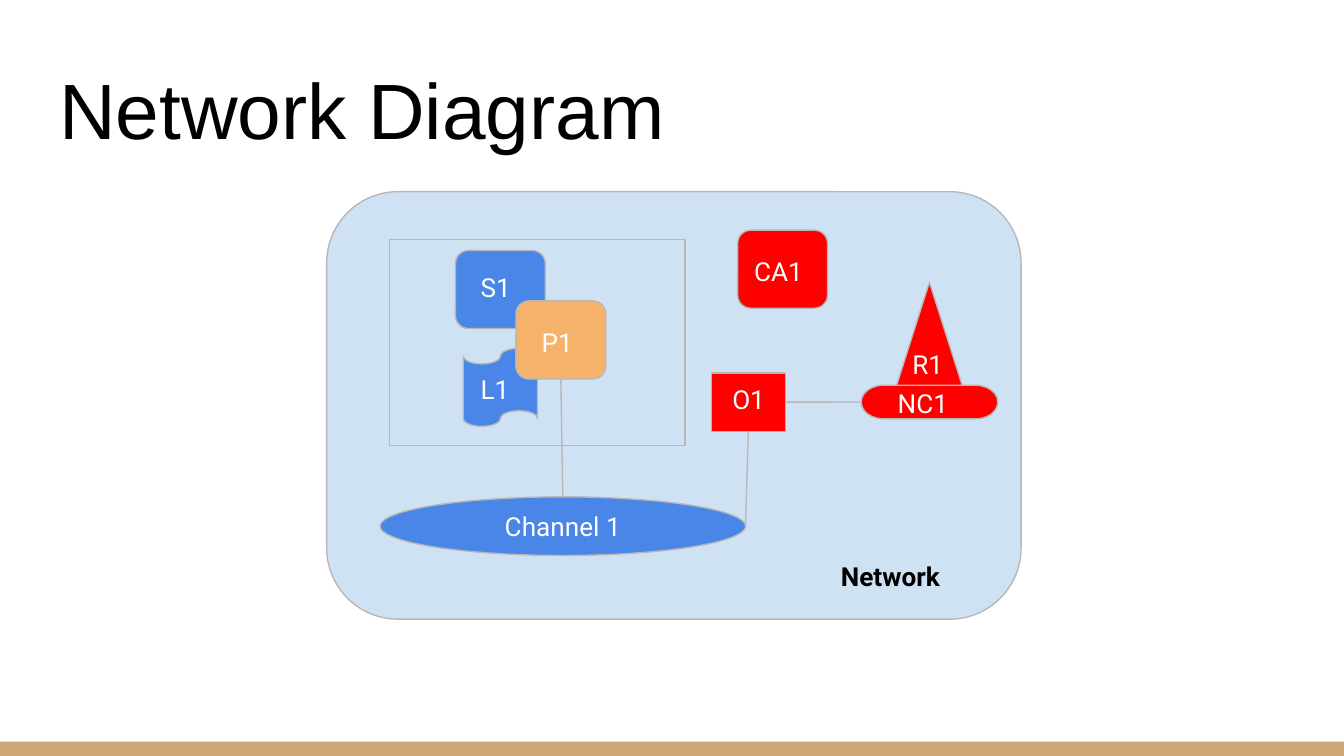
"""Build the network diagram slide."""
from dataclasses import dataclass

from pptx import Presentation
from pptx.dml.color import RGBColor
from pptx.enum.shapes import MSO_CONNECTOR, MSO_SHAPE
from pptx.enum.text import MSO_ANCHOR, MSO_AUTO_SIZE, PP_ALIGN
from pptx.oxml.ns import qn
from pptx.shapes.autoshape import Shape
from pptx.shapes.connector import Connector
from pptx.slide import Slide
from pptx.text.text import TextFrame
from pptx.util import Pt
from lxml.etree import SubElement

HUES = {
    "tan": "CCA677", "pale": "CFE2F3", "blue": "4A86E8", "red": "FF0000",
    "sand": "F6B26B", "gray": "B7B7B7", "white": "FFFFFF", "black": "000000",
}
INSET = 7.2


@dataclass(frozen=True)
class Node:
    key: str
    kind: MSO_SHAPE
    box: tuple[float, float, float, float]
    fill: str | None
    edge: str | None = "gray"


@dataclass(frozen=True)
class Label:
    text: str
    box: tuple[float, float, float, float]
    hue: str = "white"
    bold: bool = False
    align: PP_ALIGN = PP_ALIGN.LEFT


TILE = (48.1, 41.8)
NODES = [
    Node("bar", MSO_SHAPE.RECTANGLE, (0, 397.4, 720, 7.6), "tan", None),
    Node("network", MSO_SHAPE.FLOWCHART_ALTERNATE_PROCESS,
         (175, 102.7, 372, 229), "pale"),
    Node("group", MSO_SHAPE.RECTANGLE, (208.7, 128.3, 158.3, 110.3), None),
    Node("order", MSO_SHAPE.RECTANGLE, (381.1, 199.8, 39.6, 31.3), "red"),
    Node("ledger", MSO_SHAPE.FLOWCHART_PUNCHED_TAPE,
         (248.2, 186.6, 39.7, 41.8), "blue"),
    Node("smart", MSO_SHAPE.ROUNDED_RECTANGLE, (244, 134.2, *TILE), "blue"),
    Node("peer", MSO_SHAPE.ROUNDED_RECTANGLE, (276.4, 161.2, *TILE), "sand"),
    Node("config", MSO_SHAPE.FLOWCHART_TERMINATOR,
         (461.4, 206.4, 73.2, 18), "red"),
    Node("org", MSO_SHAPE.FLOWCHART_EXTRACT, (480.4, 151.2, 35.1, 55.2), "red"),
    Node("cert", MSO_SHAPE.ROUNDED_RECTANGLE, (395.2, 123.3, *TILE), "red"),
    Node("channel", MSO_SHAPE.FLOWCHART_CONNECTOR,
         (203.6, 266.2, 195.8, 31.4), "blue"),
]
LABELS = [
    Label("L1", (250.4, 193, 39.6, 22.3)),
    Label("S1", (250.4, 138.2, 35.3, 26.6)),
    Label("P1", (283, 167.8, 35.3, 31.7)),
    Label("Network", (443.4, 293.2, 79.2, 31.7), "black", True),
    Label("Channel 1", (241.8, 266, 119.5, 15.8), align=PP_ALIGN.CENTER),
    Label("O1", (385.2, 198, 44.6, 38.2)),
    Label("NC1", (473.8, 200.2, 73.4, 33.8)),
    Label("R1", (481.7, 179.7, 33.1, 26.6)),
    Label("CA1", (396.9, 129.6, 44.6, 22.3)),
]


def paint(hue: str) -> RGBColor:
    """Return the named colour."""
    return RGBColor.from_string(HUES[hue])


def write(frame: TextFrame, label: Label, font: str, size: float) -> None:
    """Fill a text frame with one styled run."""
    frame.word_wrap = True
    frame.auto_size = MSO_AUTO_SIZE.NONE
    frame.margin_left = frame.margin_right = Pt(INSET)
    frame.margin_top = frame.margin_bottom = Pt(INSET)
    para = frame.paragraphs[0]
    para.alignment = label.align
    run = para.add_run()
    run.text = label.text
    run.font.name = font
    run.font.size = Pt(size)
    run.font.bold = label.bold
    run.font.color.rgb = paint(label.hue)


def draw(slide: Slide, node: Node) -> Shape:
    """Draw one node."""
    shape = slide.shapes.add_shape(node.kind, *map(Pt, node.box))
    shape.shadow.inherit = False
    if node.fill:
        shape.fill.solid()
        shape.fill.fore_color.rgb = paint(node.fill)
    else:
        shape.fill.background()
    if node.edge:
        shape.line.color.rgb = paint(node.edge)
        shape.line.width = Pt(0.75)
    else:
        shape.line.fill.background()
    return shape


def link(slide: Slide, start: Shape, site: int) -> Connector:
    """Start a thin line at a side of a shape, ending at the channel's right."""
    line = slide.shapes.add_connector(
        MSO_CONNECTOR.STRAIGHT, 0, 0, Pt(399.4), Pt(281.9))
    line.begin_connect(start, site)
    line.line.color.rgb = paint("gray")
    line.line.width = Pt(0.75)
    SubElement(line._element.spPr, qn("a:effectLst"))
    return line


def main() -> None:
    """Build and save the slide."""
    deck = Presentation()
    deck.slide_width, deck.slide_height = Pt(720), Pt(405)
    slide = deck.slides.add_slide(deck.slide_layouts[5])

    head = Label("Network Diagram", (24.5, 24.9, 671, 65.5), "black")
    title = slide.shapes.title
    title.left, title.top, title.width, title.height = map(Pt, head.box)
    write(title.text_frame, head, "Arial", 42)
    title.text_frame.vertical_anchor = MSO_ANCHOR.BOTTOM

    parts = {node.key: draw(slide, node) for node in NODES}
    link(slide, parts["order"], 2)
    link(slide, parts["order"], 3).end_connect(parts["config"], 1)
    link(slide, parts["peer"], 2).end_connect(parts["channel"], 0)

    for label in LABELS:
        box = slide.shapes.add_textbox(*map(Pt, label.box))
        write(box.text_frame, label, "Roboto", 14)
    deck.save("out.pptx")


if __name__ == "__main__":
    main()
